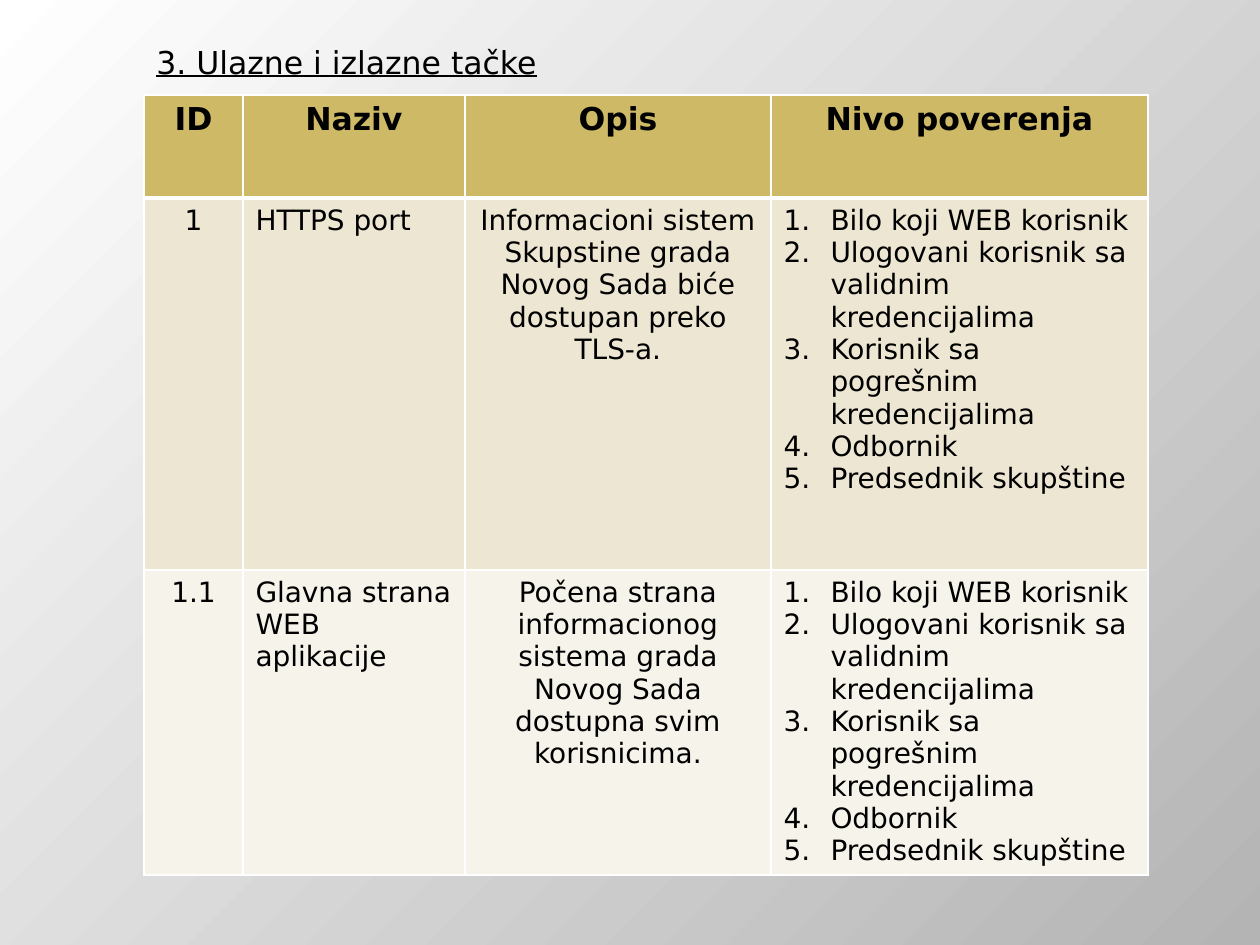
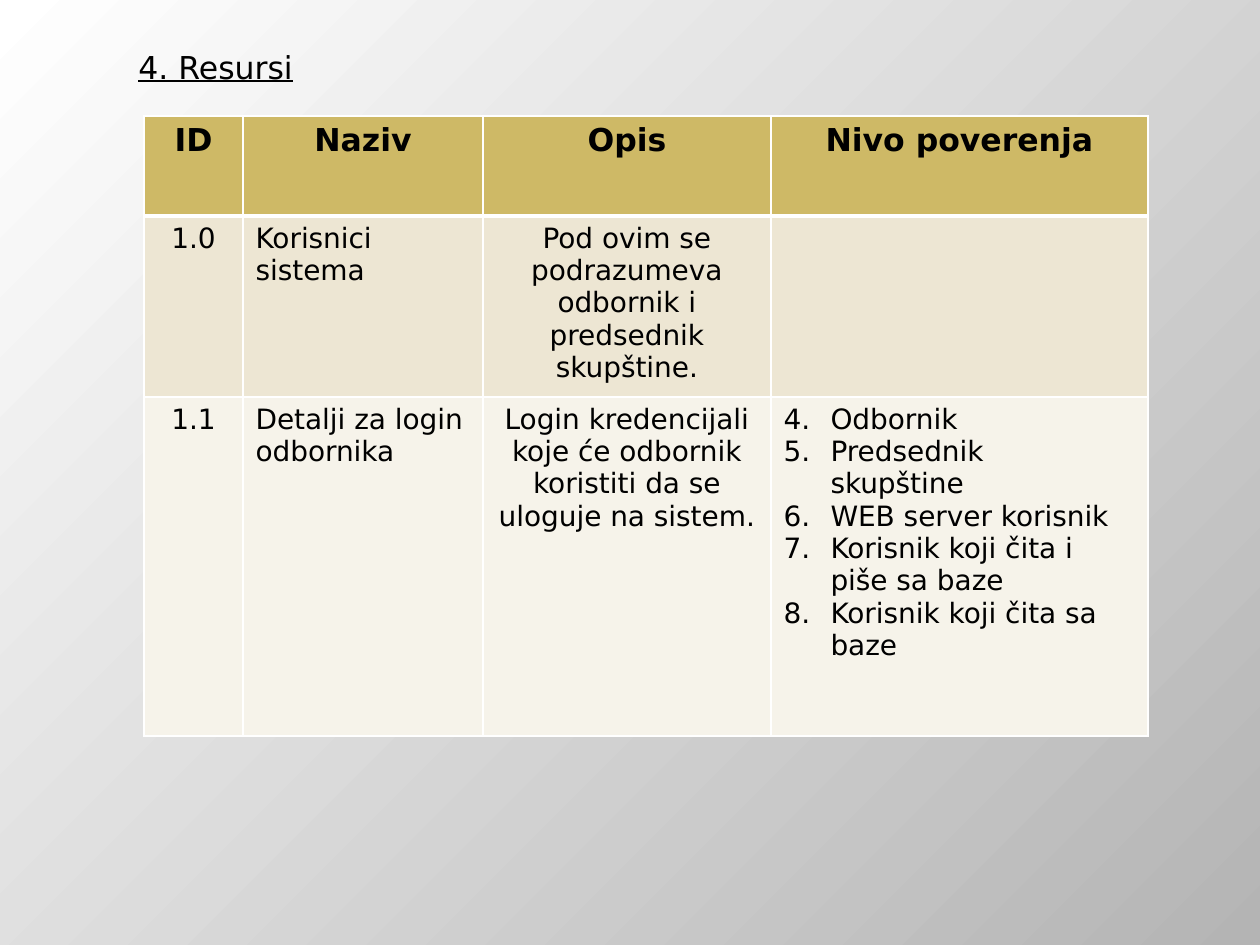
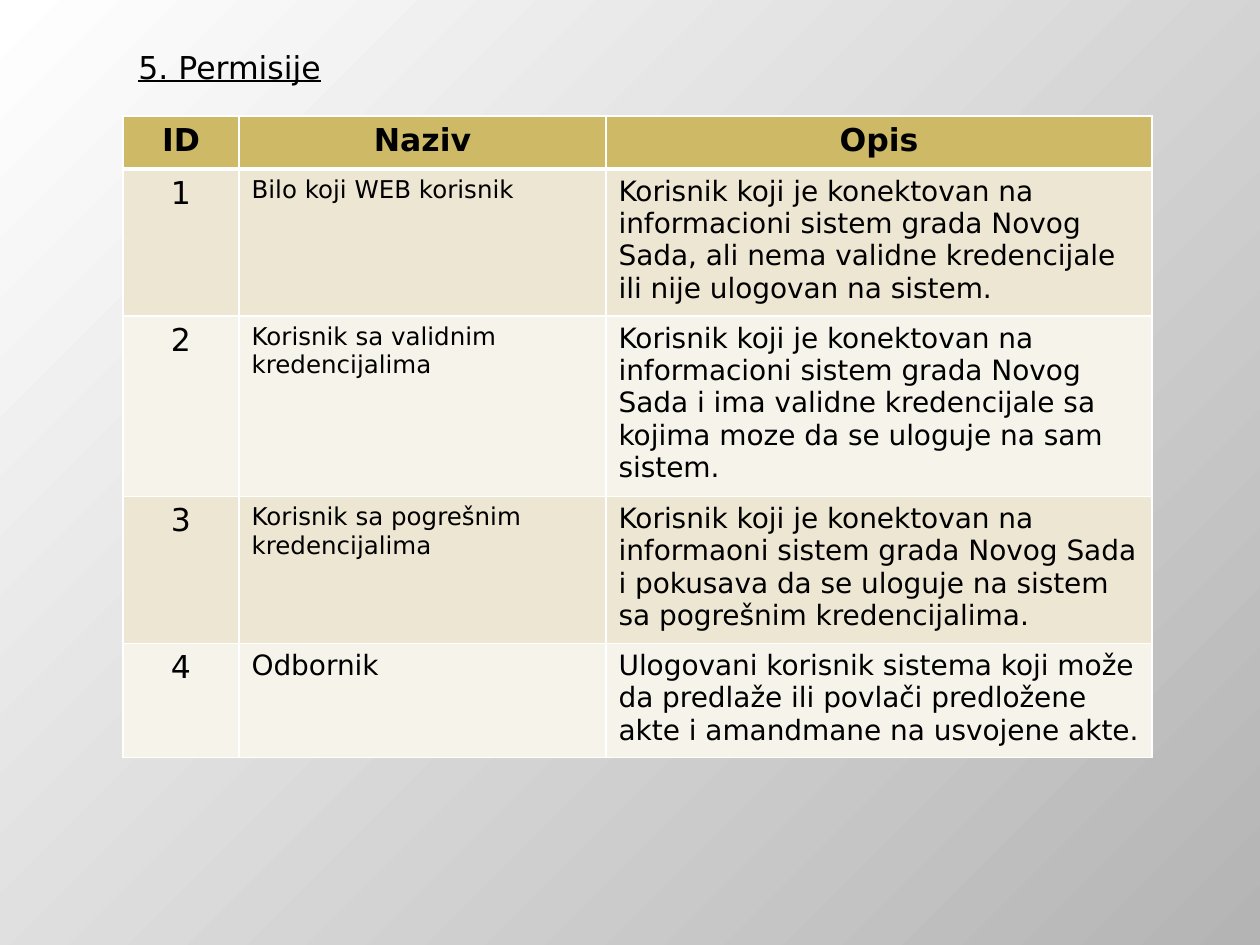
from pptx import Presentation
from pptx.dml.color import RGBColor
from pptx.enum.text import PP_ALIGN
from pptx.oxml.ns import qn
from pptx.util import Pt
from lxml.etree import SubElement

FONT = "DejaVu Sans"
BLACK = RGBColor(0x00, 0x00, 0x00)
WHITE = RGBColor(0xFF, 0xFF, 0xFF)
GREY = RGBColor(0xB4, 0xB4, 0xB4)
GOLD = RGBColor(0xCE, 0xB9, 0x66)
SAND = RGBColor(0xED, 0xE6, 0xD3)
CREAM = RGBColor(0xF6, 0xF3, 0xEA)

MID, LEFT = PP_ALIGN.CENTER, PP_ALIGN.LEFT
HEAD = ["ID", "Naziv", "Opis", "Nivo poverenja"]
LEVELS = [
    "Bilo koji WEB korisnik",
    "Ulogovani korisnik sa validnim kredencijalima",
    "Korisnik sa pogrešnim kredencijalima",
    "Odbornik",
    "Predsednik skupštine",
]
ROLES = [
    "Odbornik",
    "Predsednik\vskupštine",
    "WEB server korisnik",
    "Korisnik koji čita i piše sa baze",
    "Korisnik koji čita sa baze",
]
WIDE = [(MID, 16), (LEFT, 16), (MID, 16), (LEFT, 16)]

# Boxes are left, top, width, height in px. A list in a cell is numbered from "start".
SLIDES = [
    {
        "title": "3. Ulazne i izlazne tačke", "box": (144, 37, 557, 89),
        "at": (144, 95), "cols": [99, 222, 306, 377], "rows": [103, 372, 305],
        "style": WIDE, "start": 1,
        "body": [
            ["1", "HTTPS port",
             "Informacioni sistem Skupstine grada Novog Sada biće dostupan preko TLS-a.",
             LEVELS],
            ["1.1", "Glavna strana WEB aplikacije",
             "Počena strana informacionog sistema grada Novog Sada dostupna svim korisnicima.",
             LEVELS],
        ],
    },
    {
        "title": "4. Resursi", "box": (126, 42, 1050, 50),
        "at": (144, 116), "cols": [99, 240, 288, 377], "rows": [100, 181, 339],
        "style": WIDE, "start": 4,
        "body": [
            ["1.0", "Korisnici sistema",
             "Pod ovim se podrazumeva odbornik i predsednik skupštine.", ""],
            ["1.1", "Detalji za login odbornika",
             "Login kredencijali koje će odbornik koristiti da se uloguje na sistem.",
             ROLES],
        ],
    },
    {
        "title": "5. Permisije", "box": (126, 42, 1050, 50),
        "at": (123, 116), "cols": [116, 367, 546], "rows": [53, 147, 180, 147, 114],
        "style": [(MID, 18), (LEFT, 14), (LEFT, 16)], "sizes": {(4, 1): 16},
        "body": [
            ["1", "Bilo koji WEB korisnik",
             "Korisnik koji je konektovan na informacioni sistem grada Novog Sada, "
             "ali nema validne kredencijale ili nije ulogovan na sistem."],
            ["2", "Korisnik sa validnim kredencijalima",
             "Korisnik koji je konektovan na informacioni sistem grada Novog Sada "
             "i ima validne kredencijale sa kojima moze da se uloguje na sam sistem."],
            ["3", "Korisnik sa pogrešnim kredencijalima",
             "Korisnik koji je konektovan na informaoni sistem grada Novog Sada "
             "i pokusava da se uloguje na sistem sa pogrešnim kredencijalima."],
            ["4", "Odbornik",
             "Ulogovani korisnik sistema koji može da predlaže ili povlači "
             "predložene akte i amandmane na usvojene akte."],
        ],
    },
]


def px(n):
    return round(n * 914400 / 126)


def style(para, size, bold=False, line=False):
    for run in para.runs:
        font = run.font
        font.name, font.size, font.bold = FONT, Pt(size), bold
        font.underline = line
        font.color.rgb = BLACK


def shade(slide):
    """Fade the background from the top left corner."""
    fill = slide.background.fill
    fill.gradient()
    for stop, color, pos in zip(fill.gradient_stops, (WHITE, GREY), (0, 1)):
        stop.color.rgb, stop.position = color, pos
    grad = slide.element.find(".//" + qn("a:gradFill"))
    grad.remove(grad.find(qn("a:lin")))
    focus = SubElement(grad, qn("a:path"), path="circle")
    SubElement(focus, qn("a:fillToRect"), r="100000", b="100000")


def edge(cell, row):
    """Draw white cell borders, thick below the header."""
    props = cell._tc.get_or_add_tcPr()
    thick = {0: "lnB", 1: "lnT"}.get(row)
    for i, side in enumerate(("lnL", "lnR", "lnT", "lnB")):
        width = Pt(3 if side == thick else 1)
        line = props.makeelement(qn("a:" + side), {"w": str(width)})
        fill = SubElement(line, qn("a:solidFill"))
        SubElement(fill, qn("a:srgbClr"), val=str(WHITE))
        props.insert(i, line)


def number(para, start):
    props = para._p.get_or_add_pPr()
    props.set("marL", str(px(47)))
    props.set("indent", str(px(-47)))
    SubElement(props, qn("a:buFont"), typeface="+mj-lt")
    SubElement(props, qn("a:buAutoNum"), type="arabicPeriod", startAt=str(start))


def add_title(slide, text, box):
    frame = slide.shapes.add_textbox(*map(px, box)).text_frame
    frame.word_wrap = True
    frame.text = text
    style(frame.paragraphs[0], 18, line=True)


def add_grid(slide, data):
    cols, rows = data["cols"], data["rows"]
    box = (*data["at"], sum(cols), sum(rows))
    table = slide.shapes.add_table(len(rows), len(cols), *map(px, box)).table
    for col, width in zip(table.columns, cols):
        col.width = px(width)
    for row, height in zip(table.rows, rows):
        row.height = px(height)
    for r, line in enumerate([HEAD[:len(cols)]] + data["body"]):
        for c, text in enumerate(line):
            cell = table.cell(r, c)
            cell.fill.solid()
            cell.fill.fore_color.rgb = (SAND if r % 2 else CREAM) if r else GOLD
            edge(cell, r)
            align, size = data["style"][c] if r else (MID, 18)
            size = data.get("sizes", {}).get((r, c), size)
            listed = isinstance(text, list)
            cell.text_frame.text = "\n".join(text) if listed else text
            for para in cell.text_frame.paragraphs:
                para.alignment = align
                style(para, size, bold=r == 0)
                if listed:
                    number(para, data["start"])


def main():
    deck = Presentation()
    deck.slide_width, deck.slide_height = px(1260), px(945)
    for data in SLIDES:
        slide = deck.slides.add_slide(deck.slide_layouts[6])
        shade(slide)
        add_grid(slide, data)
        add_title(slide, data["title"], data["box"])
    deck.save("out.pptx")


if __name__ == "__main__":
    main()
